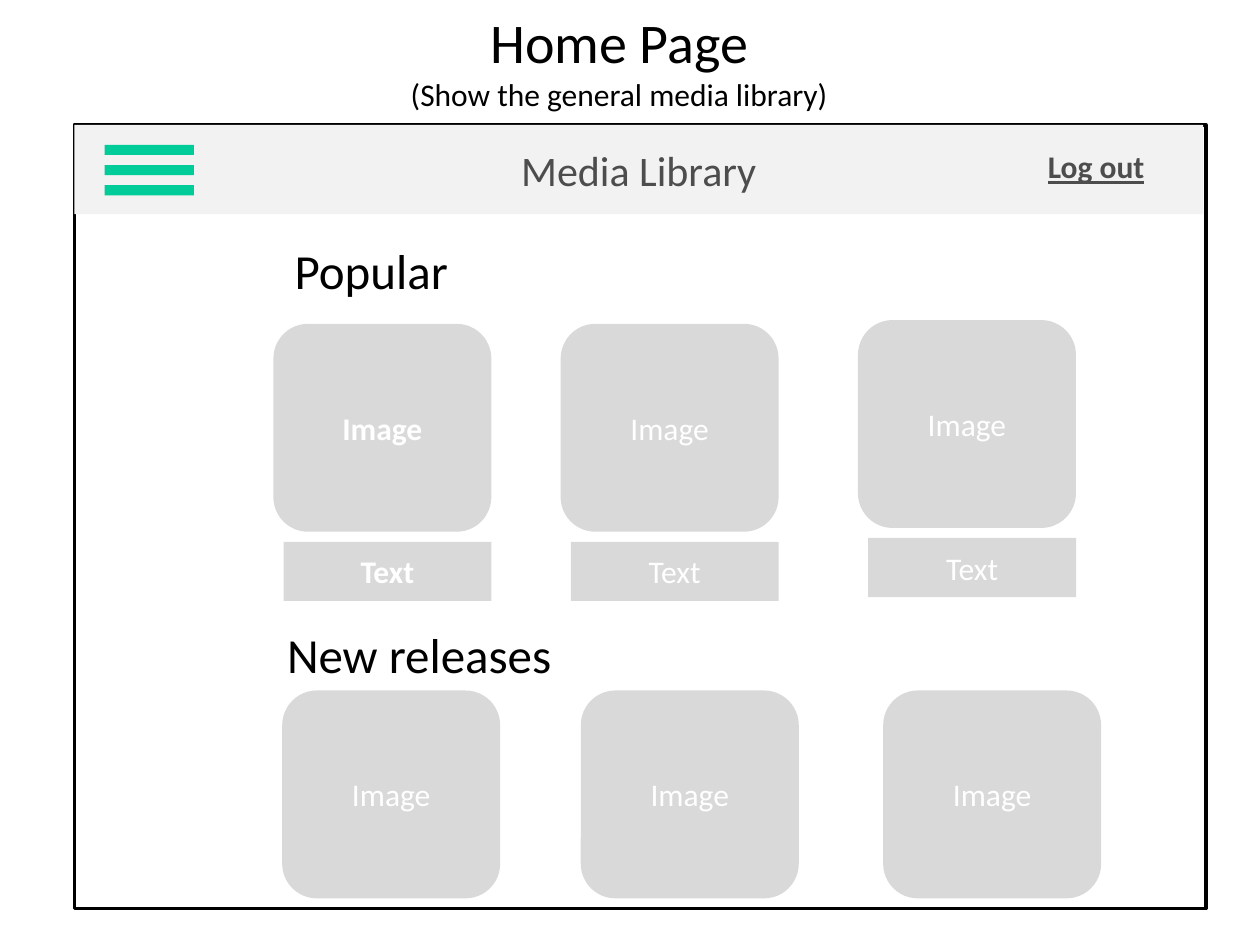
from dataclasses import dataclass

from pptx import Presentation
from pptx.dml.color import RGBColor
from pptx.enum.shapes import MSO_SHAPE as SHAPE
from pptx.enum.text import MSO_ANCHOR as ANCHOR, PP_ALIGN as ALIGN
from pptx.shapes.autoshape import Shape
from pptx.slide import Slide
from pptx.util import Inches, Pt

BLACK = RGBColor(0x00, 0x00, 0x00)
WHITE = RGBColor(0xFF, 0xFF, 0xFF)
DARK_GREY = RGBColor(0x4D, 0x4D, 0x4D)
MID_GREY = RGBColor(0xD9, 0xD9, 0xD9)
LIGHT_GREY = RGBColor(0xF2, 0xF2, 0xF2)
GREEN = RGBColor(0x00, 0xCC, 0x99)
FONT = "Calibri"


@dataclass
class Box:
    left: float
    top: float
    width: float
    height: float

    def emu(self) -> tuple:
        return tuple(Inches(v) for v in (self.left, self.top, self.width, self.height))


@dataclass
class Card:
    left: float
    top: float
    bold: bool = False
    caption: bool = True


def write(sp: Shape, text: str, *, size: int = 18, color: RGBColor = BLACK,
          bold: bool = False, underline: bool = False,
          align: ALIGN = ALIGN.CENTER, anchor: ANCHOR = ANCHOR.MIDDLE) -> None:
    """Add a formatted run to the first paragraph of a shape."""
    tf = sp.text_frame
    tf.word_wrap = True
    tf.vertical_anchor = anchor
    p = tf.paragraphs[0]
    p.alignment = align
    r = p.add_run()
    r.text = text
    f = r.font
    f.name, f.size, f.bold, f.underline = FONT, Pt(size), bold, underline
    f.color.rgb = color


def add_block(s: Slide, box: Box, fill: RGBColor, kind: SHAPE = SHAPE.RECTANGLE) -> Shape:
    sp = s.shapes.add_shape(kind, *box.emu())
    sp.shadow.inherit = False
    sp.fill.solid()
    sp.fill.fore_color.rgb = fill
    sp.line.fill.background()
    return sp


def add_label(s: Slide, box: Box, text: str, **fmt) -> Shape:
    sp = s.shapes.add_textbox(*box.emu())
    write(sp, text, **fmt)
    return sp


def add_card(s: Slide, card: Card) -> None:
    image = add_block(s, Box(card.left, card.top, 1.73, 1.65), MID_GREY,
                      SHAPE.ROUNDED_RECTANGLE)
    write(image, "Image", color=WHITE, bold=card.bold)
    if card.caption:
        caption = add_block(s, Box(card.left + 0.08, card.top + 1.73, 1.65, 0.47), MID_GREY)
        write(caption, "Text", color=WHITE, bold=card.bold)


CARDS = [
    # Popular
    Card(2.17, 2.57, bold=True),
    Card(4.45, 2.57),
    Card(6.81, 2.54),
    # New releases
    Card(2.24, 5.48, caption=False),
    Card(4.61, 5.48, caption=False),
    Card(7.01, 5.48, caption=False),
]


def main() -> None:
    prs = Presentation()
    prs.slide_width, prs.slide_height = Inches(10), Inches(7.5)
    s = prs.slides.add_slide(prs.slide_layouts[6])

    # Title
    title = add_label(s, Box(0.5, 0.13, 8.83, 0.69), "Home Page", size=32)
    title.text_frame.paragraphs[0].add_line_break()
    write(title, "(Show the general media library)")

    # Page frame and header bar
    frame = add_block(s, Box(0.59, 0.99, 8.98, 6.22), WHITE)
    frame.line.color.rgb = BLACK
    frame.line.width = Pt(2)
    header = add_block(s, Box(0.59, 0.99, 8.96, 0.71), LIGHT_GREY)
    write(header, "Media Library", size=24, color=DARK_GREY)

    # Menu icon
    menu = s.shapes.add_group_shape()
    for i in range(3):
        bar = Box(0.83, 1.15 + i * 0.16, 0.71, 0.08)
        sp = menu.shapes.add_shape(SHAPE.RECTANGLE, *bar.emu())
        sp.shadow.inherit = False
        sp.fill.solid()
        sp.fill.fore_color.rgb = GREEN
        sp.line.fill.background()

    # Media cards
    for card in CARDS:
        add_card(s, card)

    # Section headings and log out link
    for text, left, top in (("Popular", 2.24, 1.86), ("New releases", 2.18, 4.91)):
        add_label(s, Box(left, top, 2.6, 0.57), text, size=28,
                  align=ALIGN.LEFT, anchor=ANCHOR.TOP)
    add_label(s, Box(7.99, 1.12, 1.42, 0.4), "Log out", color=DARK_GREY,
              bold=True, underline=True, anchor=ANCHOR.TOP)

    prs.save("out.pptx")


if __name__ == "__main__":
    main()
